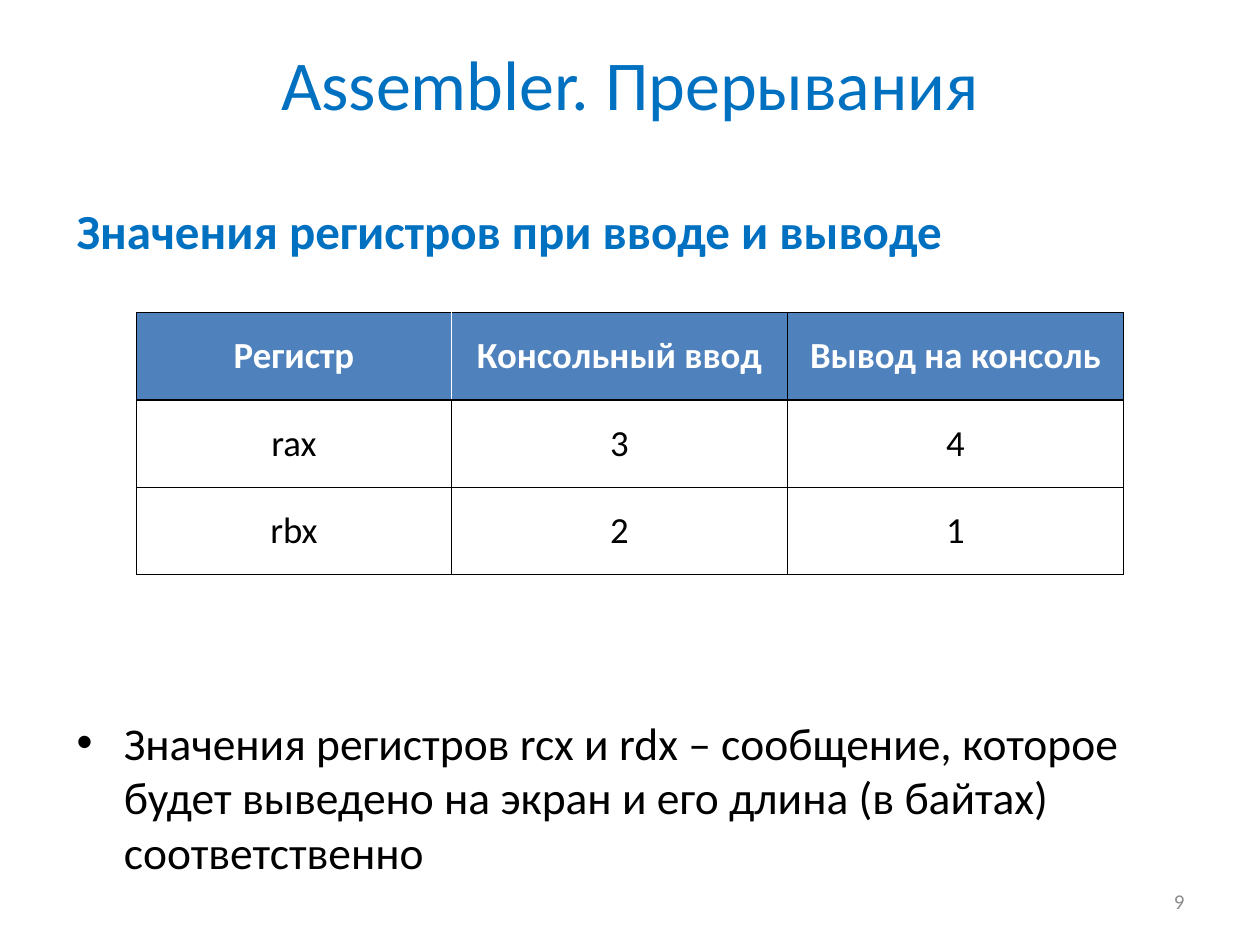
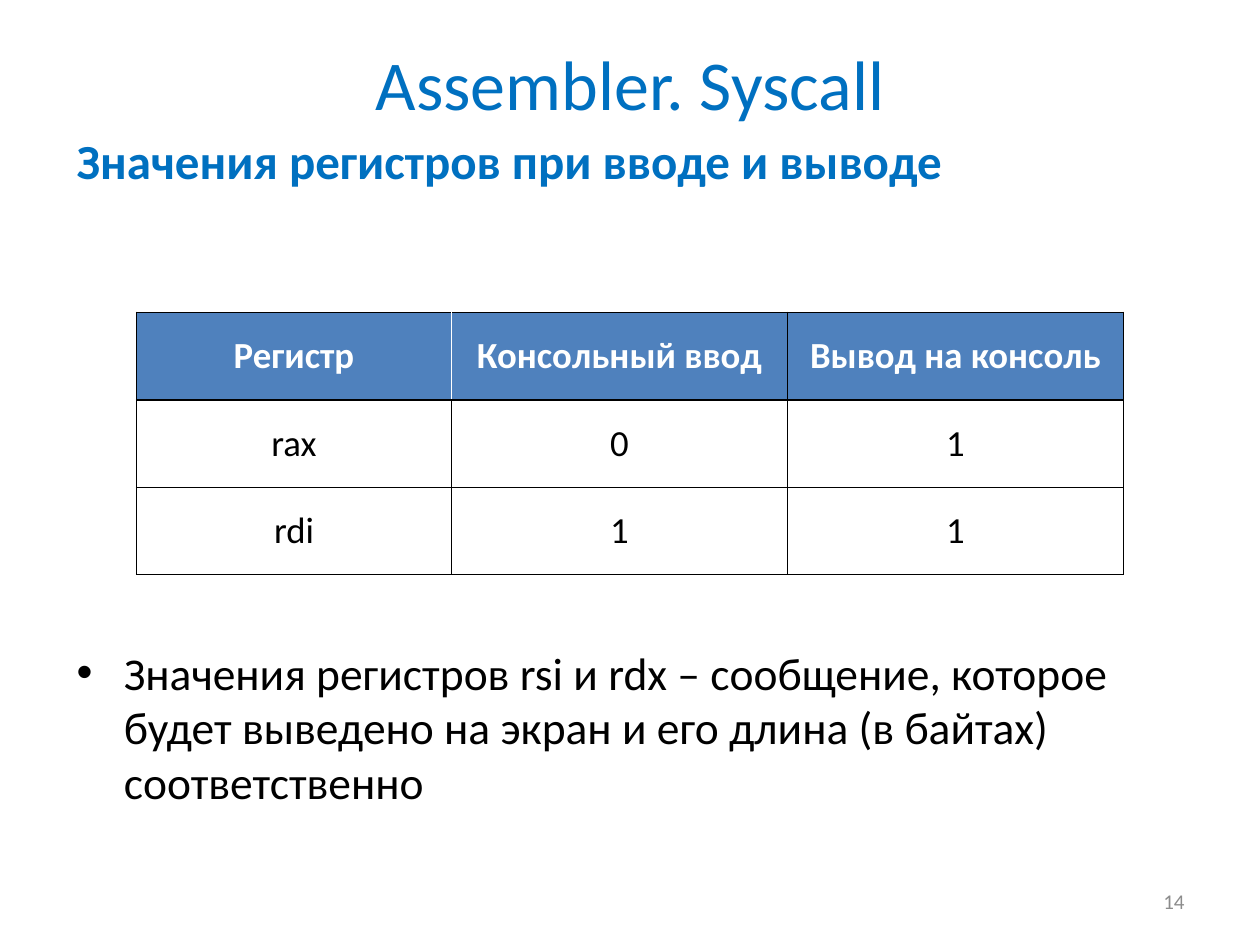
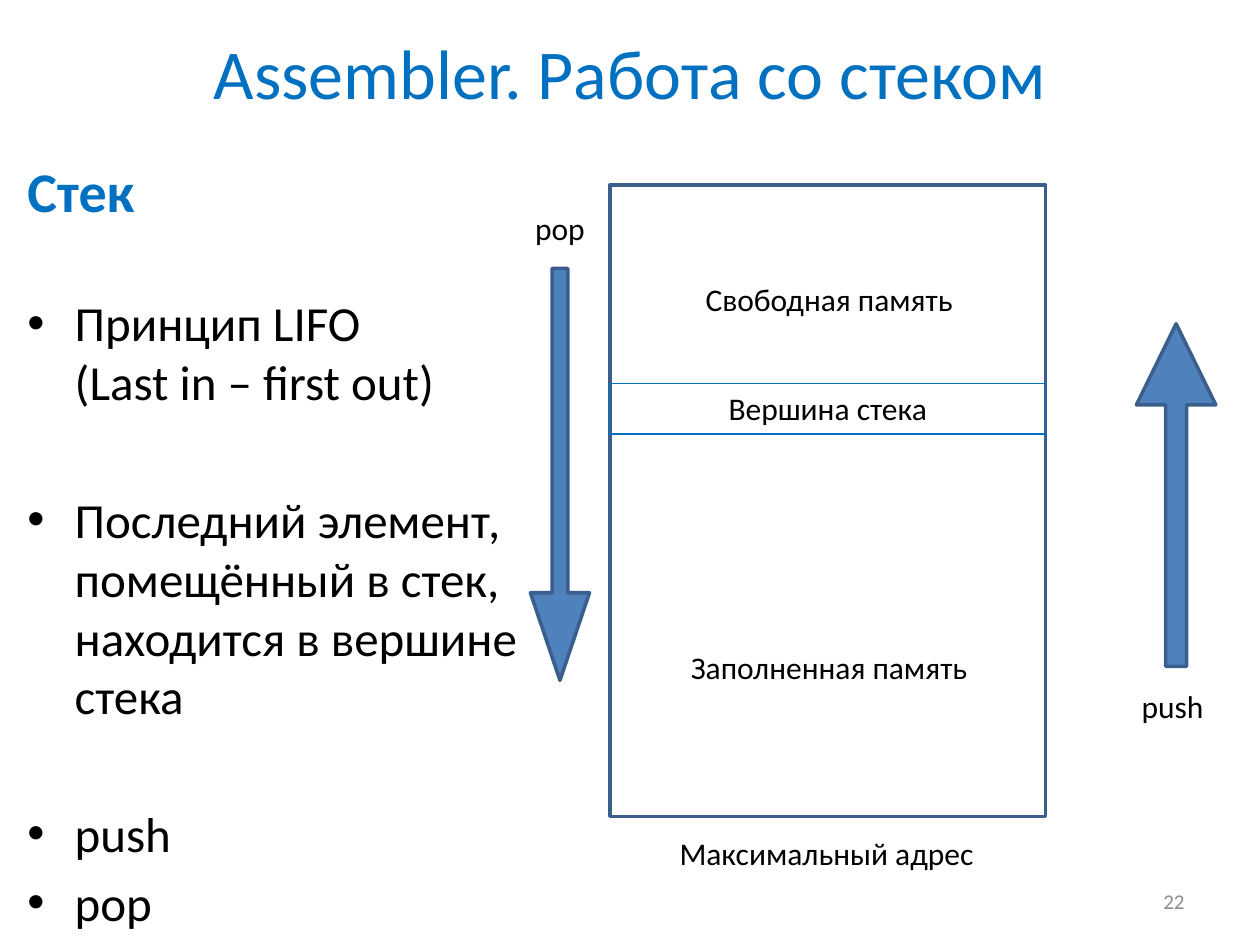
from lxml.etree import SubElement
from pptx import Presentation
from pptx.dml.color import RGBColor
from pptx.enum.shapes import MSO_SHAPE as Preset
from pptx.enum.text import MSO_ANCHOR as Anchor, PP_ALIGN as Align
from pptx.oxml.ns import qn
from pptx.util import Pt

FONT = "Calibri"
BLUE, FILL, OUTLINE = "0070C0", "4F81BD", "3A5F8C"
BLACK, WHITE, GREY = "000000", "FFFFFF", "8C8C8C"

HEADING = "Значения регистров при вводе и выводе"
MESSAGE = ("Значения регистров {} и rdx – сообщение, которое будет выведено "
           "на экран и его длина (в байтах) соответственно")
HEADER = ("Регистр", "Консольный ввод", "Вывод на консоль")

REGISTER_SLIDES = [
    {"title": "Assembler. Прерывания", "number": 9, "inset": 43.4, "register": "rcx",
     "rows": [HEADER, ("rax", "3", "4"), ("rbx", "2", "1")]},
    {"title": "Assembler. Syscall", "number": 14, "inset": 3.6, "register": "rsi",
     "rows": [HEADER, ("rax", "0", "1"), ("rdi", "1", "1")]},
]
STACK_TITLE, STACK_NUMBER, STACK_HEADING = "Assembler. Работа со стеком", 22, "Стек"
STACK_POINTS = [
    ("Принцип LIFO\v(Last in – first out)", 39.5),
    ("Последний элемент,\vпомещённый в стек,\vнаходится в вершине\vстека", 45),
    ("push", 45),
    ("pop", 5.6),
]
STACK_LABELS = [
    ("Заполненная память", 377.3, 366.5, 193),
    ("Свободная память", 377.3, 156.2, 193),
    ("Максимальный адрес", 375.8, 473, 193),
    ("push", 632.2, 388.8, 75.6),
    ("pop", 280, 115.9, 80),
]
ARROWS = [
    (Preset.UP_ARROW, (649.4, 185, 45.4, 195.8), (0.263, 1.021)),
    (Preset.DOWN_ARROW, (303.1, 153.4, 33.8, 235.4), (0.267, 1.481)),
]
STACK_LEFT, STACK_WIDTH = 348.5, 249.1
LABEL_HEIGHT = 29
TITLE_HEIGHT = 75.6
REGISTER_BODY = (36.7, 71.3, 647.3, 414)
STACK_BODY = (8.6, 71.3, 675.4, 458)
TABLE_LEFT, TABLE_TOP, ROW_HEIGHT = 78, 178.5, 50
COLUMN_WIDTHS = (180, 192, 192)
BULLET_INDENT = 27


def color(value):
    return RGBColor.from_string(value)


def assign(target, values):
    for name, value in values.items():
        setattr(target, name, value)


def points(values):
    return [Pt(value) for value in values]


def write(paragraph, text, size, ink=BLACK, bold=False, **layout):
    paragraph.text = text
    assign(paragraph, layout)
    assign(paragraph.font, {"name": FONT, "size": Pt(size), "bold": bold})
    paragraph.font.color.rgb = color(ink)


def add_text(slide, box, text, size, ink=BLACK, align=Align.CENTER, anchor=Anchor.TOP):
    frame = slide.shapes.add_textbox(*points(box)).text_frame
    assign(frame, {"word_wrap": True, "vertical_anchor": anchor})
    write(frame.paragraphs[0], text, size, ink, alignment=align)
    return frame


def add_slide(presentation, title, number, title_height=TITLE_HEIGHT):
    slide = presentation.slides.add_slide(presentation.slide_layouts[5])
    left, top, width, height = points((36, 9.4, 648, title_height))
    assign(slide.shapes.title, {"left": left, "top": top, "width": width, "height": height})
    frame = slide.shapes.title.text_frame
    frame.vertical_anchor = Anchor.MIDDLE
    write(frame.paragraphs[0], title, 40, BLUE, alignment=Align.CENTER)
    add_text(slide, (516, 500.5, 168, LABEL_HEIGHT), str(number), 12, GREY,
             Align.RIGHT, Anchor.MIDDLE)
    return slide


def add_body(slide, box, inset, heading, heading_size, bullets, bullet_size):
    frame = add_text(slide, box, heading, heading_size, BLUE, Align.LEFT)
    frame.margin_top = Pt(inset)
    frame.paragraphs[0].font.bold = True
    for text, gap in bullets:
        paragraph = frame.add_paragraph()
        write(paragraph, text, bullet_size, space_before=Pt(gap))
        properties = paragraph._p.get_or_add_pPr()
        properties.set("marL", str(Pt(BULLET_INDENT)))
        properties.set("indent", str(-Pt(BULLET_INDENT)))
        SubElement(properties, qn("a:buFont")).set("typeface", "Arial")
        SubElement(properties, qn("a:buChar")).set("char", "•")


def add_border(cell, side, ink):
    line = SubElement(cell._tc.get_or_add_tcPr(), qn(f"a:ln{side}"), w=str(Pt(1)))
    fill = SubElement(line, qn("a:solidFill"))
    SubElement(fill, qn("a:srgbClr"), val=ink)


def add_register_table(slide, rows):
    box = (TABLE_LEFT, TABLE_TOP, sum(COLUMN_WIDTHS), ROW_HEIGHT * len(rows))
    table = slide.shapes.add_table(len(rows), len(COLUMN_WIDTHS), *points(box)).table
    table.horz_banding = False
    for column, width in zip(table.columns, COLUMN_WIDTHS):
        column.width = Pt(width)
    for row_index, row in enumerate(rows):
        table.rows[row_index].height = Pt(ROW_HEIGHT)
        is_header = row_index == 0
        for column_index, text in enumerate(row):
            cell = table.cell(row_index, column_index)
            assign(cell, {"vertical_anchor": Anchor.MIDDLE,
                          "margin_left": Pt(8.6), "margin_right": Pt(8.6),
                          "margin_top": Pt(4.3), "margin_bottom": Pt(4.3)})
            white_side = {0: "R", 1: "L"}.get(column_index) if is_header else None
            for side in "LRTB":
                add_border(cell, side, WHITE if side == white_side else BLACK)
            if is_header:
                cell.fill.solid()
                cell.fill.fore_color.rgb = color(FILL)
            else:
                cell.fill.background()
            write(cell.text_frame.paragraphs[0], text, 21, WHITE if is_header else BLACK,
                  is_header, alignment=Align.CENTER)


def add_outlined(slide, preset, box, outline, weight, fill=None):
    shape = slide.shapes.add_shape(preset, *points(box))
    shape.shadow.inherit = False
    if fill:
        shape.fill.solid()
        shape.fill.fore_color.rgb = color(fill)
    else:
        shape.fill.background()
    shape.line.color.rgb = color(outline)
    shape.line.width = Pt(weight)
    return shape


def add_stack_diagram(slide):
    add_outlined(slide, Preset.RECTANGLE, (STACK_LEFT, 105.8, STACK_WIDTH, 360.7), OUTLINE, 2)
    stack_top = add_outlined(slide, Preset.RECTANGLE,
                             (STACK_LEFT, 219, STACK_WIDTH, LABEL_HEIGHT), BLUE, 0.75)
    stack_top.text_frame.vertical_anchor = Anchor.TOP
    write(stack_top.text_frame.paragraphs[0], "Вершина стека", 18, alignment=Align.CENTER)
    for preset, box, adjustments in ARROWS:
        arrow = add_outlined(slide, preset, box, OUTLINE, 2, FILL)
        for index, value in enumerate(adjustments):
            arrow.adjustments[index] = value
    for text, left, top, width in STACK_LABELS:
        add_text(slide, (left, top, width, LABEL_HEIGHT), text, 18)


def main():
    presentation = Presentation()
    assign(presentation, {"slide_width": Pt(720), "slide_height": Pt(540)})
    for content in REGISTER_SLIDES:
        slide = add_slide(presentation, content["title"], content["number"])
        bullets = [(MESSAGE.format(content["register"]), 260)]
        add_body(slide, REGISTER_BODY, content["inset"], HEADING, 28, bullets, 26)
        add_register_table(slide, content["rows"])
    slide = add_slide(presentation, STACK_TITLE, STACK_NUMBER, 62.6)
    add_body(slide, STACK_BODY, 18.2, STACK_HEADING, 32, STACK_POINTS, 28)
    add_stack_diagram(slide)
    presentation.save("out.pptx")


if __name__ == "__main__":
    main()
